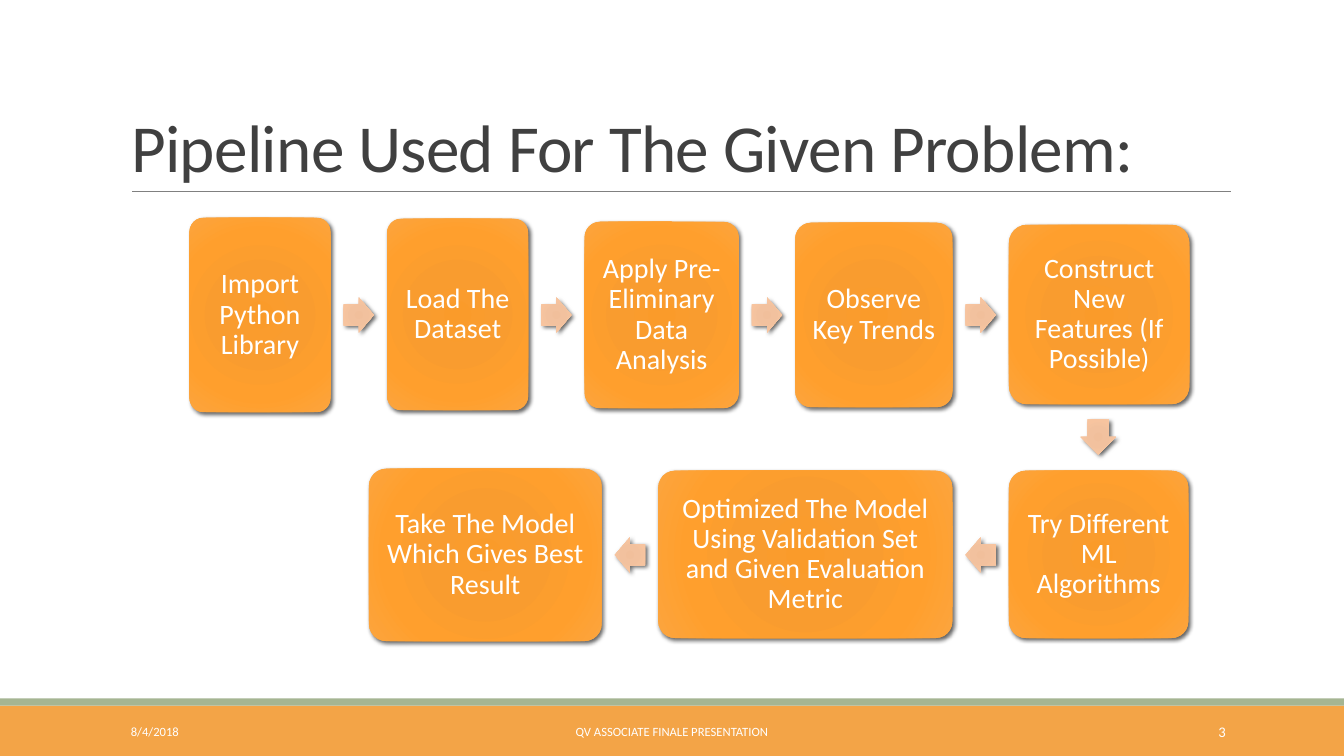
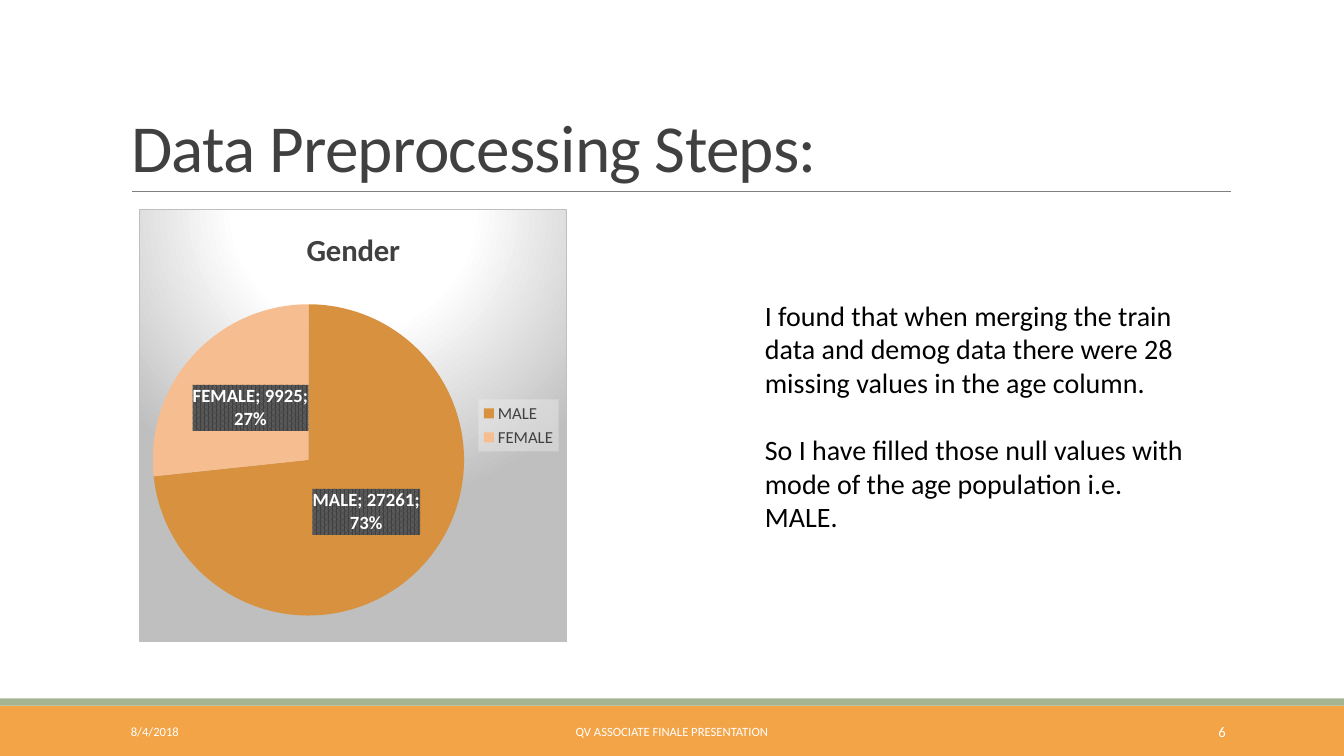
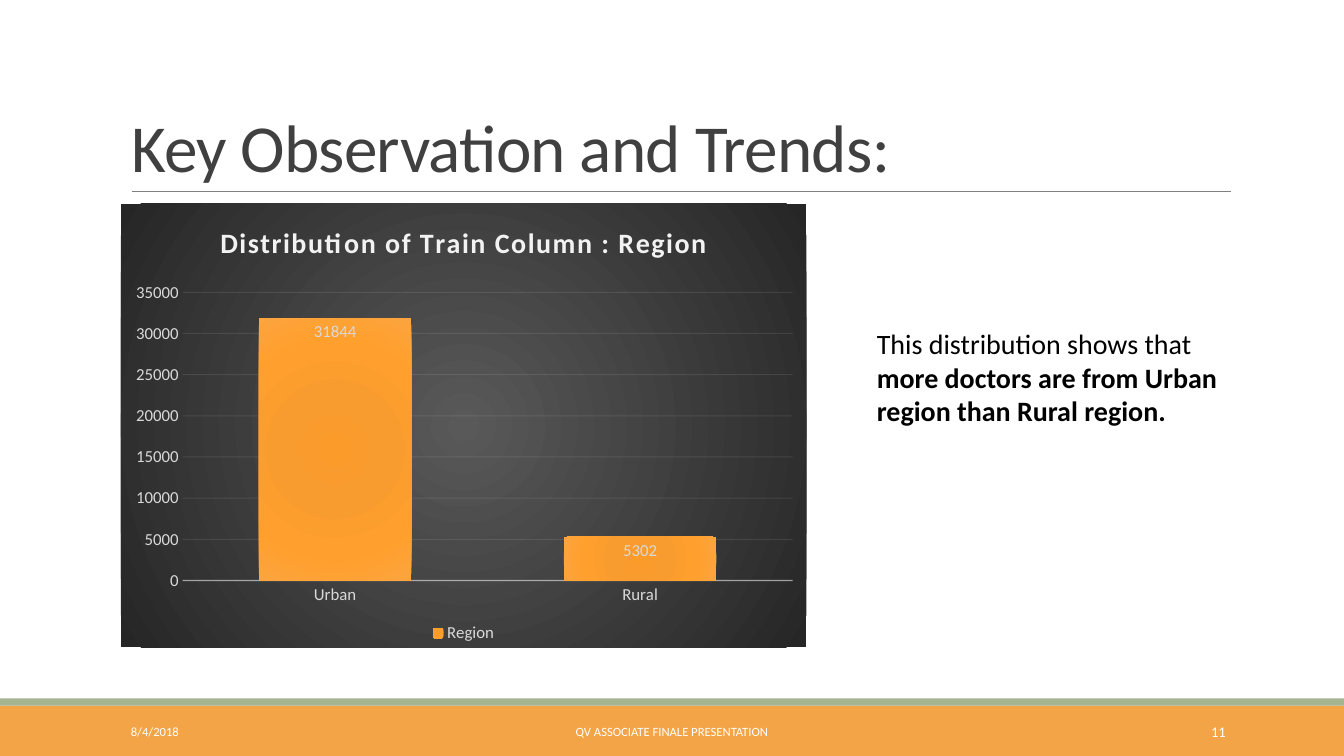
from pptx import Presentation
from pptx.chart.data import CategoryChartData
from pptx.dml.color import RGBColor
from pptx.enum.chart import XL_CHART_TYPE, XL_LABEL_POSITION, XL_LEGEND_POSITION, XL_TICK_MARK
from pptx.enum.shapes import MSO_CONNECTOR, MSO_SHAPE
from pptx.enum.text import MSO_ANCHOR, PP_ALIGN
from pptx.oxml import parse_xml
from pptx.oxml.ns import nsdecls, qn
from pptx.util import Pt

PX = 9144  # 100 px to the inch
FONT = "Calibri"
ORANGE, GREEN, GREY, DARK = "F3A447", "A5B592", "808080", "404040"
WHITE, BLACK, PALE = "FFFFFF", "000000", "D9D9D9"
STEP_STOPS = [(0, "FA9B2A"), (34, "F99C2F"), (70, "FF9F2D"), (100, "FCA53E")]
ARROW_STOPS = [(0, "F1BF9B"), (34, "F2C19E"), (70, "F7C49F"), (100, "FBCEAD")]
CORNER = (100, 100, 100, 100)
LEFT, CENTER, RIGHT = PP_ALIGN.LEFT, PP_ALIGN.CENTER, PP_ALIGN.RIGHT
TOP, MIDDLE, BOTTOM = MSO_ANCHOR.TOP, MSO_ANCHOR.MIDDLE, MSO_ANCHOR.BOTTOM
RECTANGLE, ROUNDED = MSO_SHAPE.RECTANGLE, MSO_SHAPE.ROUNDED_RECTANGLE
RIGHT_ARROW, LEFT_ARROW, DOWN_ARROW = MSO_SHAPE.RIGHT_ARROW, MSO_SHAPE.LEFT_ARROW, MSO_SHAPE.DOWN_ARROW
PIE, COLUMN = XL_CHART_TYPE.PIE, XL_CHART_TYPE.COLUMN_CLUSTERED
NO_TICK = XL_TICK_MARK.NONE
rgb = RGBColor.from_string


def radial_fill(stops, focus):
    """Circular gradient element; focus is left, top, right, bottom in percent."""
    marks = "".join(f'<a:gs pos="{pos * 1000}"><a:srgbClr val="{color}"/></a:gs>' for pos, color in stops)
    sides = " ".join(f'{side}="{value * 1000}"' for side, value in zip("ltrb", focus))
    return parse_xml(f'<a:gradFill {nsdecls("a")} rotWithShape="1"><a:gsLst>{marks}</a:gsLst>'
                     f'<a:path path="circle"><a:fillToRect {sides}/></a:path></a:gradFill>')


def add_text(page, place, paragraphs, size, color, align=LEFT, anchor=TOP):
    """Text box; each paragraph is a list of spans, those after the first bold."""
    frame = page.shapes.add_textbox(*[value * PX for value in place]).text_frame
    frame.word_wrap = True
    frame.vertical_anchor = anchor
    for number, spans in enumerate(paragraphs):
        para = frame.add_paragraph() if number else frame.paragraphs[0]
        para.alignment = align
        para.space_before = Pt(24 if number else 0)
        for index, text in enumerate(spans):
            span = para.add_run()
            span.text = text
            span.font.size, span.font.name, span.font.color.rgb = Pt(size), FONT, rgb(color)
            span.font.bold = index > 0


deck = Presentation()
deck.slide_width, deck.slide_height = 12192000, 750 * PX
layout = deck.slide_layouts[5]

# Title place, shared through the layout
title = layout.placeholders[0]
title.left, title.top, title.width, title.height = 120 * PX, 31 * PX, 1100 * PX, 159 * PX

# Pages with title and footer
pages = []
for heading, number in [("Pipeline Used For The Given Problem:", "3"),
                        ("Data Preprocessing Steps:", "6"),
                        ("Key Observation and Trends:", "11")]:
    page = deck.slides.add_slide(layout)
    pages.append(page)
    frame = page.shapes.title.text_frame
    frame.text = heading
    frame.vertical_anchor = BOTTOM
    para = frame.paragraphs[0]
    para.alignment, para.line_spacing = LEFT, 0.85
    span = para.runs[0]
    span.font.size, span.font.name, span.font.color.rgb = Pt(48), FONT, rgb(DARK)
    span.font._element.set("spc", "-50")
    for left, width, text, size, align in [(120, 270, "8/4/2018", 9, LEFT),
                                           (403, 527, "QV ASSOCIATE FINALE PRESENTATION", 9, CENTER),
                                           (1083, 143, number, 10.5, RIGHT)]:
        add_text(page, (left, 706, width, 40), [[text]], size, WHITE, align, MIDDLE)

pipeline, preprocessing, trends = pages

# Bands and title rule, moved to the layout
shared = []
for top, height, color in [(700, 50, ORANGE), (693, 7, GREEN)]:
    band = pipeline.shapes.add_shape(RECTANGLE, 0, top * PX, deck.slide_width, height * PX)
    band.shadow.inherit = False
    band.fill.solid()
    band.fill.fore_color.rgb = rgb(color)
    band.line.fill.background()
    shared.append(band)
rule = pipeline.shapes.add_connector(MSO_CONNECTOR.STRAIGHT, 131 * PX, 190 * PX, 1221 * PX, 190 * PX)
rule.line.color.rgb = rgb(GREY)
rule.line.width = Pt(0.5)
rule._element.spPr.append(parse_xml(f'<a:effectLst {nsdecls("a")}/>'))
shared.append(rule)
for index, shape in enumerate(shared):
    layout.shapes._spTree.insert(2 + index, shape._element)

# Pipeline: boxes along two rows, an arrow centred in each gap
GAP = 56
ROWS = [
    (188, 312, 1, RIGHT_ARROW, [("Import Python Library", 140, 193), ("Load The Dataset", 140, 190),
                                ("Apply Pre-Eliminary Data Analysis", 153, 185),
                                ("Observe Key Trends", 156, 183),
                                ("Construct New Features (If Possible)", 179, 178)]),
    (1179, 550, -1, LEFT_ARROW, [("Try Different ML Algorithms", 178, 166),
                                 ("Optimized The Model Using Validation Set and Given Evaluation Metric", 292, 166),
                                 ("Take The Model Which Gives Best Result", 231, 171)]),
]
pieces = [(DOWN_ARROW, 1072, 416, 35, 35, "")]
for edge, middle, direction, arrow, steps in ROWS:
    for index, (text, width, height) in enumerate(steps):
        left = edge if direction > 0 else edge - width
        pieces.append((ROUNDED, left, middle - height // 2, width, height, text))
        edge += direction * (width + GAP)
        if index < len(steps) - 1:
            pieces.append((arrow, edge - direction * GAP // 2 - 15, middle - 17, 30, 35, ""))

for kind, left, top, width, height, text in pieces:
    shape = pipeline.shapes.add_shape(kind, left * PX, top * PX, width * PX, height * PX)
    shape.adjustments[0] = 0.1 if text else 0.6
    shape.fill.solid()
    shape.line.fill.background()
    shape.shadow.inherit = False
    properties = shape._element.spPr
    properties.replace(properties.find(qn("a:solidFill")),
                       radial_fill(STEP_STOPS if text else ARROW_STOPS, CORNER))
    properties.find(qn("a:effectLst")).append(parse_xml(
        f'<a:outerShdw {nsdecls("a")} blurRad="38100" dist="25400" dir="2700000" rotWithShape="0">'
        '<a:srgbClr val="000000"><a:alpha val="60000"/></a:srgbClr></a:outerShdw>'))
    if text:
        frame = shape.text_frame
        frame.text = text
        frame.word_wrap = True
        frame.vertical_anchor = MIDDLE
        frame.margin_left = frame.margin_right = frame.margin_top = frame.margin_bottom = 8 * PX
        para = frame.paragraphs[0]
        para.alignment, para.line_spacing = CENTER, 0.9
        font = para.runs[0].font
        font.size, font.name, font.color.rgb = Pt(20), FONT, rgb(WHITE)

# Charts: what both share
CHARTS = [
    (preprocessing, PIE, (138, 207, 425, 430), "Gender", "Gender", ["MALE", "FEMALE"], [27261, 9925],
     22, DARK, DARK, XL_LEGEND_POSITION.RIGHT, XL_LABEL_POSITION.CENTER, 13.3, WHITE,
     [(0, WHITE), (39, WHITE), (100, "BFBFBF")], (50, -80, 50, 180), (0.03, 0.22, 0.73, 0.72)),
    (trends, COLUMN, (120, 202, 680, 440), "Distribution of Train Column : Region", "Region",
     ["Urban", "Rural"], [31844, 5302],
     20, "F2F2F2", PALE, XL_LEGEND_POSITION.BOTTOM, XL_LABEL_POSITION.INSIDE_END, 12, PALE,
     [(0, "595959"), (100, "262626")], (50, 50, 50, 50), (0.09, 0.2, 0.89, 0.65)),
]
charts = []
for (page, kind, place, heading, name, categories, values, title_size, title_color, legend_color,
     legend_side, label_side, label_size, label_color, stops, focus, plot_place) in CHARTS:
    data = CategoryChartData()
    data.categories = categories
    data.add_series(name, values)
    chart = page.shapes.add_chart(kind, *[value * PX for value in place], data).chart
    charts.append(chart)
    chart.font.size, chart.font.name = Pt(10), FONT

    chart.has_title = True
    chart.chart_title.include_in_layout = False
    chart.chart_title.text_frame.text = heading
    font = chart.chart_title.text_frame.paragraphs[0].runs[0].font
    font.size, font.name, font.bold, font.color.rgb = Pt(title_size), FONT, True, rgb(title_color)

    chart.has_legend = True
    legend = chart.legend
    legend.position, legend.include_in_layout = legend_side, False
    legend.font.size, legend.font.name, legend.font.color.rgb = Pt(12), FONT, rgb(legend_color)

    plot = chart.plots[0]
    plot.vary_by_categories = kind == PIE
    plot.has_data_labels = True
    labels = plot.data_labels
    labels.font.size, labels.font.name, labels.font.color.rgb = Pt(label_size), FONT, rgb(label_color)
    labels.font.bold = kind == PIE
    labels.show_value, labels.position = True, label_side

    # Chart background and plot place
    background = parse_xml(f'<c:spPr {nsdecls("c", "a")}/>')
    background.append(radial_fill(stops, focus))
    border = '<a:solidFill><a:srgbClr val="BFBFBF"/></a:solidFill>' if kind == PIE else "<a:noFill/>"
    background.append(parse_xml(f'<a:ln {nsdecls("a")} w="9525">{border}</a:ln>'))
    chart._chartSpace.find(qn("c:chart")).addnext(background)
    area = chart._chartSpace.find(".//" + qn("c:plotArea"))
    for old in area.findall(qn("c:layout")):
        area.remove(old)
    edges = "".join(f'<c:{key} val="{value}"/>' for key, value in zip("xywh", plot_place))
    area.insert(0, parse_xml(
        f'<c:layout {nsdecls("c")}><c:manualLayout><c:layoutTarget val="inner"/>'
        f'<c:xMode val="edge"/><c:yMode val="edge"/>{edges}</c:manualLayout></c:layout>'))

gender_chart, region_chart = charts

# Gender pie: slice colours, label and legend backgrounds
plot = gender_chart.plots[0]
plot.data_labels.show_category_name = plot.data_labels.show_percentage = True
for index, color in enumerate(["D8923F", "F6BE90"]):
    fill = plot.series[0].points[index].format.fill
    fill.solid()
    fill.fore_color.rgb = rgb(color)
for part, fill in [
        (plot.data_labels, '<a:pattFill prst="pct75"><a:fgClr><a:srgbClr val="404040"/></a:fgClr>'
                           '<a:bgClr><a:srgbClr val="595959"/></a:bgClr></a:pattFill>'),
        (gender_chart.legend, '<a:solidFill><a:srgbClr val="F2F2F2"><a:alpha val="39000"/></a:srgbClr></a:solidFill>')]:
    part._element.find(qn("c:txPr")).addprevious(
        parse_xml(f'<c:spPr {nsdecls("c", "a")}>{fill}</c:spPr>'))

# Region columns: bars and axes
region_chart.chart_title.text_frame.paragraphs[0].runs[0].font._element.set("spc", "100")
plot = region_chart.plots[0]
plot.gap_width, plot.overlap = 100, -24
bars = plot.series[0]
bars.format.fill.solid()
properties = bars._element.find(qn("c:spPr"))
properties.replace(properties.find(qn("a:solidFill")), radial_fill(STEP_STOPS, CORNER))
category_axis, value_axis = region_chart.category_axis, region_chart.value_axis
for axis, line, width, alpha in [(category_axis, category_axis.format.line, 1, 54),
                                 (value_axis, value_axis.major_gridlines.format.line, 0.75, 10)]:
    line.color.rgb = rgb("F2F2F2")
    line.width = Pt(width)
    axis._element.find(".//" + qn("a:srgbClr")).append(
        parse_xml(f'<a:alpha {nsdecls("a")} val="{alpha * 1000}"/>'))
    axis.major_tick_mark = axis.minor_tick_mark = NO_TICK
    font = axis.tick_labels.font
    font.size, font.name, font.color.rgb = Pt(12), FONT, rgb(PALE)
value_axis.format.line.fill.background()

# Remarks beside the charts
add_text(preprocessing, (749, 291, 446, 246),
         [["I found that when merging the train data and demog data there were 28 missing values in the age column."],
          ["So I have filled those null values with mode of the age population i.e. MALE."]], 20, BLACK)
add_text(trends, (860, 319, 367, 111),
         [["This distribution shows that ", "more doctors are from Urban region than Rural region."]], 20, BLACK)

deck.save("out.pptx")
